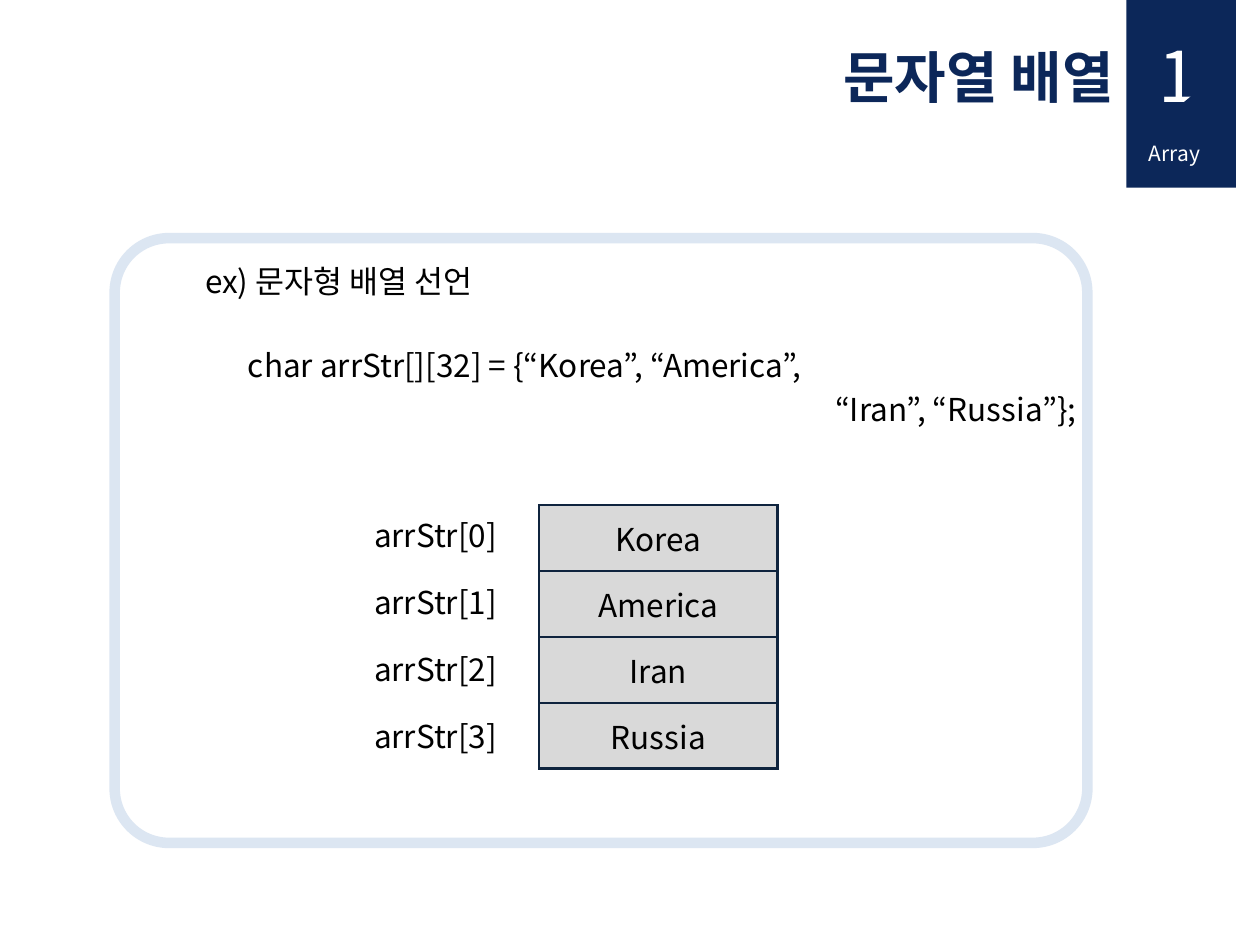
import pptx
import pptx.dml.color
import pptx.enum.shapes
import pptx.enum.text
import pptx.oxml
import pptx.oxml.ns
import pptx.util
from pptx.util import Inches

FONT = "Noto Sans CJK KR"
NAVY, BLACK, WHITE = "0C2759", "000000", "FFFFFF"
GREY, PALE_BLUE, BORDER = "D9D9D9", "DCE6F2", "0F243E"
ALIGN = pptx.enum.text.PP_ALIGN
ANCHOR = pptx.enum.text.MSO_ANCHOR
SHAPE = pptx.enum.shapes.MSO_SHAPE
COUNTRIES = ["Korea", "America", "Iran", "Russia"]


def color(value):
    """Return an RGB colour from a hex string."""
    return pptx.dml.color.RGBColor.from_string(value)


def style(paragraph, size, ink, align=ALIGN.LEFT, bold=False):
    """Format a paragraph and its runs."""
    paragraph.alignment = align
    for run in paragraph.runs:
        run.font.size = pptx.util.Pt(size)
        run.font.bold = bold
        run.font.color.rgb = color(ink)
        run.font.name = FONT
        properties = run.font._element
        east_asian = properties.makeelement(pptx.oxml.ns.qn("a:ea"), {"typeface": FONT})
        properties.find(pptx.oxml.ns.qn("a:latin")).addnext(east_asian)


def add_text(slide, box, text, size, ink):
    """Add a wrapped text box and return its frame."""
    frame = slide.shapes.add_textbox(*map(Inches, box)).text_frame
    frame.word_wrap = True
    frame.text = text
    for paragraph in frame.paragraphs:
        style(paragraph, size, ink)
    return frame


def add_block(slide, kind, box, fill=None, line=None, width=0):
    """Add a preset shape with an optional fill and outline."""
    block = slide.shapes.add_shape(kind, *map(Inches, box))
    block.shadow.inherit = False
    if fill:
        block.fill.solid()
        block.fill.fore_color.rgb = color(fill)
    else:
        block.fill.background()
    if line:
        block.line.color.rgb = color(line)
        block.line.width = pptx.util.Pt(width)
    else:
        block.line.fill.background()
    return block


def add_borders(cell):
    """Outline all four sides of a table cell."""
    properties = cell._tc.get_or_add_tcPr()
    for side in "LRTB":
        properties.append(pptx.oxml.parse_xml(
            f'<a:ln{side} {pptx.oxml.ns.nsdecls("a")} w="{pptx.util.Pt(1.5)}">'
            f'<a:solidFill><a:srgbClr val="{BORDER}"/></a:solidFill></a:ln{side}>'))


def add_title(slide):
    """Place and format the slide title."""
    title = slide.shapes.title
    title.left, title.top, title.width, title.height = map(Inches, (5.79, 0.29, 3.15, 0.64))
    frame = title.text_frame
    frame.text = "문자열 배열"
    frame.vertical_anchor = ANCHOR.TOP
    frame.auto_size = pptx.enum.text.MSO_AUTO_SIZE.NONE
    style(frame.paragraphs[0], 32, NAVY, ALIGN.RIGHT, True)


def add_declaration(slide):
    """Add the example heading and the indented array declaration."""
    lines = ["ex) 문자형 배열 선언", "char arrStr[][32] = {“Korea”, “America”,", "“Iran”, “Russia”};"]
    frame = add_text(slide, (0.1, 1.98, 9, 1.5), "\n".join(lines), 18, BLACK)
    for paragraph, indent, gap in zip(frame.paragraphs, (1.43, 1.77, 6.43), (0, 23.5, 0)):
        paragraph._p.get_or_add_pPr().set("marL", str(Inches(indent)))
        paragraph.line_spacing = pptx.util.Pt(25)
        paragraph.space_before = pptx.util.Pt(gap)


def add_array(slide):
    """Add the array cells and their index labels."""
    table = slide.shapes.add_table(
        len(COUNTRIES), 1, *map(Inches, (4.28, 4.01, 1.89, 2.09))).table
    for index, country in enumerate(COUNTRIES):
        cell = table.cell(index, 0)
        add_borders(cell)
        cell.fill.solid()
        cell.fill.fore_color.rgb = color(GREY)
        cell.vertical_anchor = ANCHOR.MIDDLE
        cell.text_frame.text = country
        style(cell.text_frame.paragraphs[0], 18, BLACK, ALIGN.CENTER)
        add_text(slide, (2.87, 4.05 + 0.53 * index, 1.41, 0.4), f"arrStr[{index}]", 18, BLACK)


def add_chapter_tab(slide):
    """Add the chapter tab with its clipped number."""
    add_block(slide, SHAPE.RECTANGLE, (8.94, 0, 0.87, 1.49), NAVY)
    chapter = add_text(slide, (9.02, 1.07, 0.79, 0.3), "Array", 12, WHITE)
    chapter.paragraphs[0].alignment = ALIGN.JUSTIFY
    add_text(slide, (9.1, 0.21, 0.63, 0.77), "1", 40, WHITE)
    corner = add_block(slide, SHAPE.ISOSCELES_TRIANGLE, (9.18, 0.6, 0.47, 0.39), NAVY)
    corner.adjustments[0] = 1


def main():
    """Build and save the slide."""
    deck = pptx.Presentation()
    deck.slide_width, deck.slide_height = Inches(10), Inches(7.5)
    slide = deck.slides.add_slide(deck.slide_layouts[5])
    add_title(slide)
    add_declaration(slide)
    add_array(slide)
    panel = add_block(slide, SHAPE.ROUNDED_RECTANGLE, (0.91, 1.89, 7.72, 4.8),
                      line=PALE_BLUE, width=6)
    panel.adjustments[0] = 0.09
    add_chapter_tab(slide)
    deck.save("out.pptx")


if __name__ == "__main__":
    main()
